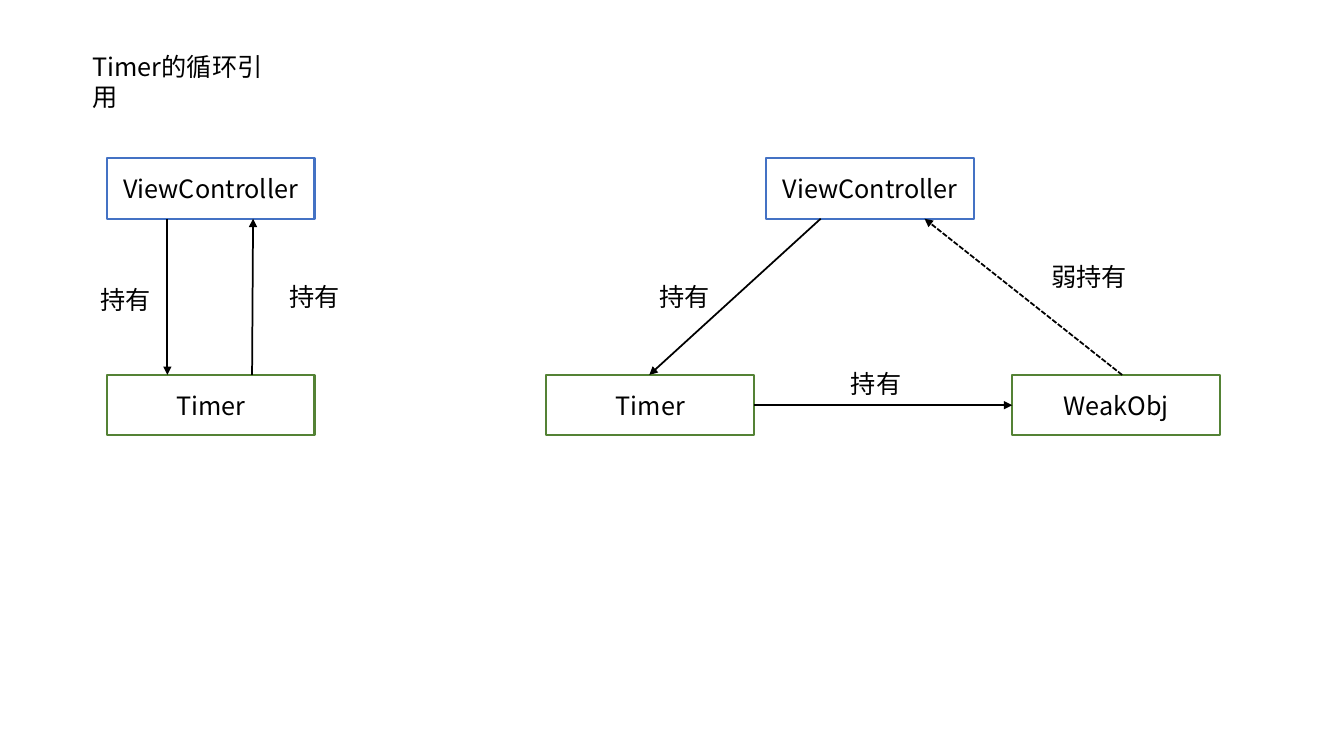
from lxml import etree
from pptx import Presentation
from pptx import util as u
from pptx.dml.color import RGBColor
from pptx.enum import dml, shapes, text
from pptx.oxml.ns import qn

THEME = {
    "font": "Noto Sans CJK SC", "size": 18, "ink": "000000",
    "view": "4472C4", "object": "548235", "edge": 1.5, "arrow": 1.25,
}
WIDE, HIGH = 2.06, 0.6
TOP, LOW = 1.57, 3.72
BASE, MID = TOP + HIGH, LOW + HIGH / 2

TITLE = ("Timer的循环引用", 0.82, 0.46, 2.08)
BOXES = [
    ("ViewController", 1.06, TOP, "view"),
    ("Timer", 1.06, LOW, "object"),
    ("ViewController", 7.6, TOP, "view"),
    ("Timer", 5.42, LOW, "object"),
    ("WeakObj", 10.04, LOW, "object"),
]
ARROWS = [
    (1.66, BASE, 1.66, LOW, False),
    (2.5, LOW, 2.51, BASE, False),
    (8.14, BASE, 6.44, LOW, False),
    (11.13, LOW, 9.17, BASE, True),
    (7.48, MID, 10.04, MID, False),
]
LABELS = [
    ("持有", 0.9, 2.77, 0.71),
    ("持有", 2.77, 2.74, 0.71),
    ("持有", 6.44, 2.74, 0.71),
    ("弱持有", 10.33, 2.54, 0.96),
    ("持有", 8.34, 3.61, 0.71),
]


def color(name):
    return RGBColor.from_string(THEME[name])


def write(frame, words):
    frame.text = words
    font = frame.paragraphs[0].runs[0].font
    font.name, font.size = THEME["font"], u.Pt(THEME["size"])
    font.color.rgb = color("ink")
    props = frame.paragraphs[0].runs[0]._r.get_or_add_rPr()
    etree.SubElement(props, qn("a:ea"), typeface=THEME["font"])


def label(slide, words, left, top, wide, wrap=False):
    frame = slide.shapes.add_textbox(*map(u.Inches, (left, top, wide, 0.4))).text_frame
    frame.word_wrap = wrap
    frame.auto_size = text.MSO_AUTO_SIZE.SHAPE_TO_FIT_TEXT
    write(frame, words)


def box(slide, words, left, top, edge):
    rect = slide.shapes.add_shape(
        shapes.MSO_SHAPE.RECTANGLE, *map(u.Inches, (left, top, WIDE, HIGH)))
    rect.shadow.inherit = False
    rect.fill.background()
    rect.line.color.rgb = color(edge)
    rect.line.width = u.Pt(THEME["edge"])
    frame = rect.text_frame
    frame.vertical_anchor = text.MSO_ANCHOR.MIDDLE
    write(frame, words)
    frame.paragraphs[0].alignment = text.PP_ALIGN.CENTER


def arrow(slide, *ends, weak):
    link = slide.shapes.add_connector(shapes.MSO_CONNECTOR.STRAIGHT, *map(u.Inches, ends))
    link.line.color.rgb = color("ink")
    link.line.width = u.Pt(THEME["arrow"])
    if weak:
        link.line.dash_style = dml.MSO_LINE.SQUARE_DOT
    etree.SubElement(link.line._get_or_add_ln(), qn("a:tailEnd"), type="triangle")
    etree.SubElement(link._element.spPr, qn("a:effectLst"))


def main():
    deck = Presentation()
    deck.slide_width, deck.slide_height = u.Inches(13.33), u.Inches(7.5)
    slide = deck.slides.add_slide(deck.slide_layouts[6])
    label(slide, *TITLE, wrap=True)
    for item in BOXES:
        box(slide, *item)
    for *ends, weak in ARROWS:
        arrow(slide, *ends, weak=weak)
    for item in LABELS:
        label(slide, *item)
    deck.save("out.pptx")


if __name__ == "__main__":
    main()
